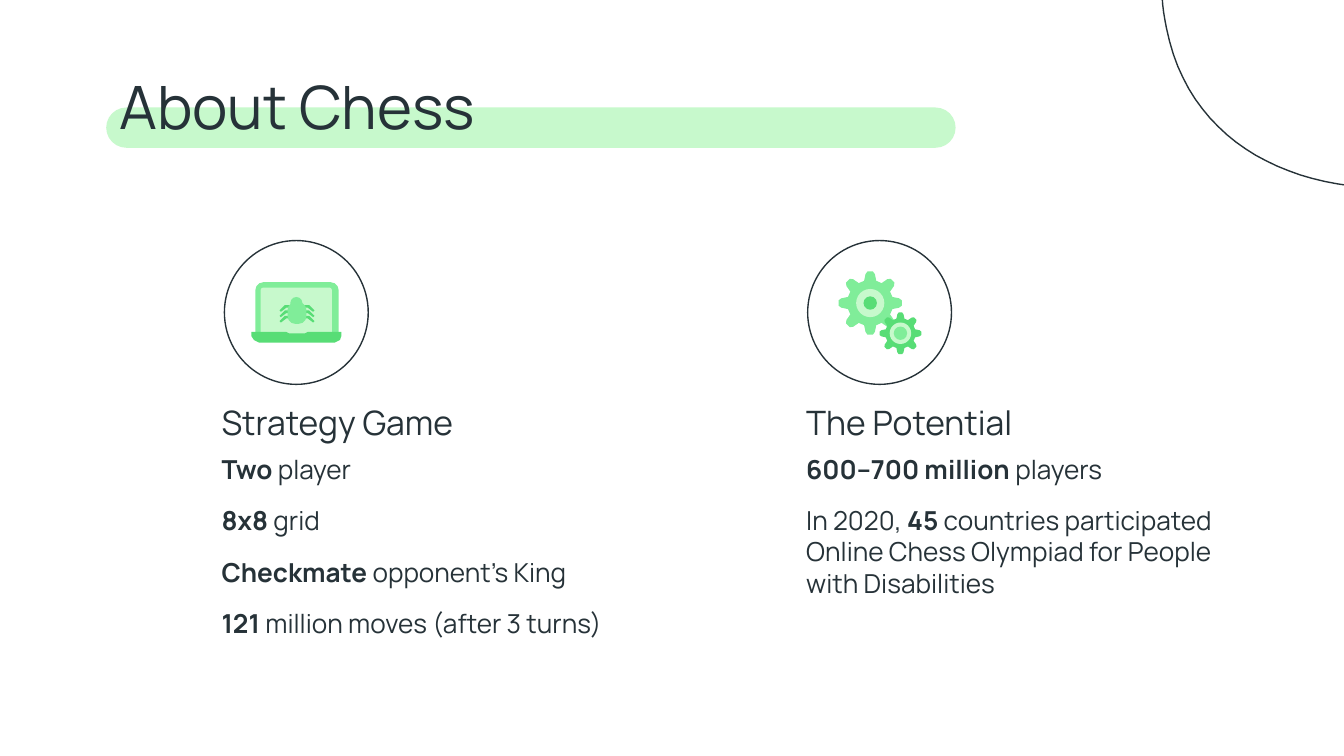
"""Build the About Chess slide: a title band and two topics with icons."""
from dataclasses import dataclass
from math import cos, pi, sin

from pptx import Presentation
from pptx.dml.color import RGBColor
from pptx.enum.shapes import MSO_SHAPE
from pptx.util import Inches, Pt


@dataclass(frozen=True)
class Theme:
    font: str = "Manrope"
    ink: RGBColor = RGBColor(0x26, 0x32, 0x38)
    pale: RGBColor = RGBColor(0xC7, 0xF9, 0xCC)
    mid: RGBColor = RGBColor(0x80, 0xED, 0x99)
    deep: RGBColor = RGBColor(0x58, 0xDD, 0x76)
    title: int = 32
    head: int = 18
    body: int = 14
    gap: float = 10.8
    line: float = 0.75


theme = Theme()
deck = Presentation()
deck.slide_width = Inches(10)
deck.slide_height = Inches(10 * 9 / 16)
slide = deck.slides.add_slide(deck.slide_layouts[6])
shapes = slide.shapes


def draw(form, fill=None, box=None):
    """Add a preset in a box, or an outline through points, and paint it."""
    if box:
        shape = shapes.add_shape(form, *map(Inches, box))
    else:
        dots = [(x * 1000, y * 1000) for x, y in form]
        pen = shapes.build_freeform(*dots[0], scale=Inches(1) / 1000)
        pen.add_line_segments(dots[1:], close=True)
        shape = pen.convert_to_shape()
    shape.shadow.inherit = False
    if fill is None:
        shape.fill.background()
        shape.line.color.rgb = theme.ink
        shape.line.width = Pt(theme.line)
    else:
        shape.fill.solid()
        shape.fill.fore_color.rgb = fill
        shape.line.fill.background()
    return shape


def write(box, size, lines):
    """Add a text box; each line is a list of (text, bold) runs."""
    frame = shapes.add_textbox(*map(Inches, box)).text_frame
    frame.word_wrap = True
    frame.margin_left = frame.margin_right = Inches(0.1)
    frame.margin_top = frame.margin_bottom = Inches(0.1)
    for i, line in enumerate(lines):
        para = frame.add_paragraph() if i else frame.paragraphs[0]
        if i:
            para.space_before = Pt(theme.gap)
        para.font.name = theme.font
        para.font.size = Pt(size)
        para.font.color.rgb = theme.ink
        for text, bold in line:
            run = para.add_run()
            run.text = text
            run.font.bold = bold


band = draw(MSO_SHAPE.ROUNDED_RECTANGLE, theme.pale, (0.79, 0.8, 6.32, 0.3))
band.adjustments[0] = 0.5

start = (12.11, -1.85)
curves = [
    ((12.03, -1.85), (11.93, -1.82), (11.83, -1.77)),
    ((11.44, -1.57), (11.41, -1.13), (10.88, -1.11)),
    ((10.83, -1.1), (10.78, -1.1), (10.73, -1.1)),
    ((10.48, -1.1), (10.24, -1.13), (10.02, -1.13)),
    ((9.75, -1.13), (9.48, -1.09), (9.18, -0.93)),
    ((8.68, -0.66), (8.58, -0.26), (8.68, 0.21)),
    ((8.84, 1.02), (9.54, 1.4), (10.34, 1.4)),
    ((10.69, 1.4), (11.05, 1.33), (11.39, 1.2)),
    ((12.49, 0.78), (13, -0.2), (12.75, -1.17)),
    ((12.68, -1.46), (12.47, -1.85), (12.11, -1.85)),
]
steps = 24
blob = [start]
for a, b, end in curves:
    for n in range(1, steps + 1):
        t = n / steps
        u = 1 - t
        blob.append(tuple(
            u**3 * p + 3 * u * u * t * q + 3 * u * t * t * r + t**3 * s
            for p, q, r, s in zip(start, a, b, end)
        ))
    start = end
draw(blob[:-1])

write((0.79, 0.42, 8.43, 0.67), theme.title, [[("About Chess", False)]])

topics = [
    (1.55, 1.67, 3.28, "Strategy Game", [
        [("Two", True), (" player", False)],
        [("8x8", True), (" grid", False)],
        [("Checkmate", True), (" opponent’s King", False)],
        [("121", True), (" million moves (after 3 turns)", False)],
    ]),
    (5.9, 6.01, 3.31, "The Potential", [
        [("600–700 million ", True), ("players", False)],
        [("In 2020, ", False), ("45", True),
         (" countries participated Online Chess Olympiad for People "
          "with Disabilities", False)],
    ]),
]
for left, ring, width, head, lines in topics:
    write((left, 2.89, 2.61, 0.41), theme.head, [[(head, False)]])
    write((left, 3.27, width, 0.93), theme.body, lines)
    draw(MSO_SHAPE.OVAL, None, (ring, 1.79, 1.07, 1.07))

tooth = [(-0.045, -0.165), (-0.035, -0.215), (-0.02, -0.235),
         (0.02, -0.235), (0.035, -0.215), (0.045, -0.165)]
gears = [
    (6.475, 2.255, 1, theme.mid, 0.21, 0.1, theme.deep),
    (6.7, 2.48, 0.66, theme.deep, 0.16, 0.1, theme.mid),
]
for cx, cy, scale, fill, hub, core, dot in gears:
    rim = []
    for n in range(8):
        c, s = cos(n * pi / 4), sin(n * pi / 4)
        rim += [(cx + scale * (x * c - y * s), cy + scale * (x * s + y * c))
                for x, y in tooth]
    draw(rim, fill)
    for size, tint in ((hub, theme.pale), (core, dot)):
        draw(MSO_SHAPE.OVAL, tint, (cx - size / 2, cy - size / 2, size, size))

lid = draw(MSO_SHAPE.ROUND_2_SAME_RECTANGLE, theme.mid, (1.9, 2.1, 0.62, 0.42))
lid.adjustments[0] = 0.14
screen = draw(MSO_SHAPE.ROUNDED_RECTANGLE, theme.pale, (1.94, 2.14, 0.53, 0.38))
screen.adjustments[0] = 0.05
leg = [(2.2, 2.27), (2.12, 2.27), (2.08, 2.31),
       (2.09, 2.32), (2.13, 2.29), (2.2, 2.29)]
for row in range(3):
    down = [(x, y + 0.04 * row) for x, y in leg]
    draw(down, theme.deep)
    draw([(4.42 - x, y) for x, y in down], theme.deep)
draw(MSO_SHAPE.OVAL, theme.mid, (2.16, 2.21, 0.09, 0.09))
trunk = draw(MSO_SHAPE.ROUNDED_RECTANGLE, theme.mid, (2.14, 2.25, 0.14, 0.16))
trunk.adjustments[0] = 0.4
draw([(1.87, 2.47), (2.13, 2.47), (2.15, 2.48), (2.27, 2.48), (2.29, 2.47),
      (2.54, 2.47), (2.54, 2.5), (2.53, 2.53), (2.49, 2.55), (1.93, 2.55),
      (1.89, 2.53), (1.87, 2.5)], theme.deep)

deck.save("out.pptx")
